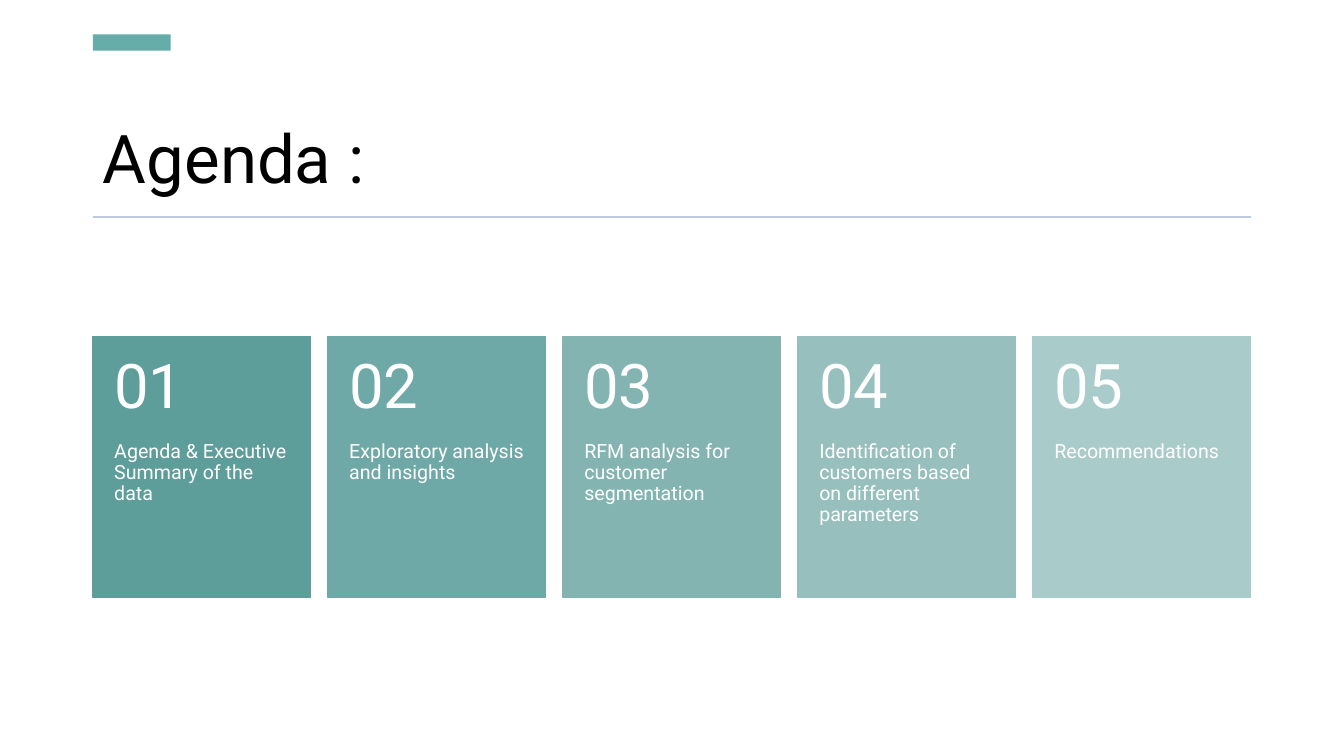
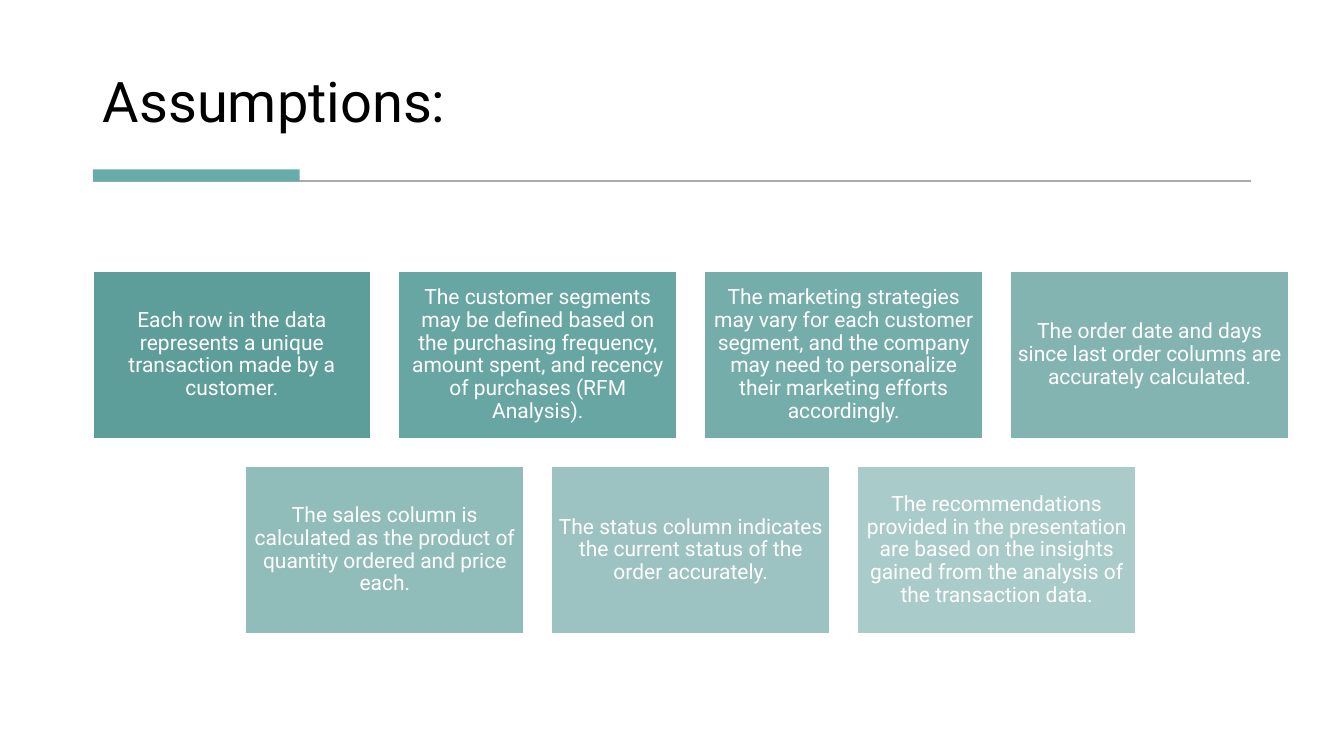
from lxml import etree
from pptx import Presentation
from pptx.dml.color import RGBColor
from pptx.enum import shapes, text
from pptx.oxml import ns
from pptx.util import Cm, Pt

FONT = "Roboto"
BLACK = RGBColor(0x00, 0x00, 0x00)
WHITE = RGBColor(0xFF, 0xFF, 0xFF)
TEAL = RGBColor(0x66, 0xAD, 0xAA)
BLUE_GREY = RGBColor(0xBD, 0xCA, 0xDB)
GREY = RGBColor(0xAA, 0xAA, 0xAA)

TEAL_1 = RGBColor(0x5D, 0x9D, 0x9A)
TEAL_4 = RGBColor(0x83, 0xB4, 0xB2)
TEAL_7 = RGBColor(0xA9, 0xCB, 0xC9)
AGENDA_COLOURS = [TEAL_1, RGBColor(0x6F, 0xA9, 0xA7), TEAL_4,
                  RGBColor(0x96, 0xBF, 0xBD), TEAL_7]
ASSUMPTION_COLOURS = [TEAL_1, RGBColor(0x68, 0xA6, 0xA3),
                      RGBColor(0x75, 0xAD, 0xAA), TEAL_4,
                      RGBColor(0x90, 0xBC, 0xBA),
                      RGBColor(0x9C, 0xC3, 0xC1), TEAL_7]

LEFT = 2.34
CONTENT_WIDTH = 29.18

AGENDA = [
    "Agenda & Executive Summary of the data",
    "Exploratory analysis and insights",
    "RFM analysis for customer segmentation",
    "Identification of customers based on different parameters",
    "Recommendations",
]
ASSUMPTIONS = [
    "Each row in the data represents a unique transaction made by a customer.",
    "The customer segments may be defined based on the purchasing frequency, "
    "amount spent, and recency of purchases (RFM Analysis).",
    "The marketing strategies may vary for each customer segment, and the "
    "company may need to personalize their marketing efforts accordingly.",
    "The order date and days since last order columns are accurately calculated.",
    "The sales column is calculated as the product of quantity ordered and "
    "price each.",
    "The status column indicates the current status of the order accurately.",
    "The recommendations provided in the presentation are based on the "
    "insights gained from the analysis of the transaction data.",
]


def write(shape, content, size, colour=WHITE, align=text.PP_ALIGN.LEFT,
          anchor=text.MSO_ANCHOR.TOP, insets=None):
    """Fill a shape with one paragraph; insets are left, top, right, bottom in cm."""
    frame = shape.text_frame
    frame.word_wrap = True
    frame.auto_size = text.MSO_AUTO_SIZE.NONE
    frame.vertical_anchor = anchor
    if insets:
        (frame.margin_left, frame.margin_top,
         frame.margin_right, frame.margin_bottom) = map(Cm, insets)
    paragraph = frame.paragraphs[0]
    paragraph.alignment = align
    paragraph.line_spacing = 0.9
    run = paragraph.add_run()
    run.text = content
    run.font.name = FONT
    run.font.size = Pt(size)
    run.font.color.rgb = colour


class Deck:
    """Holds the presentation, its style and the slide being built."""

    def __init__(self):
        self.presentation = Presentation()
        self.presentation.slide_width = Cm(33.87)
        self.presentation.slide_height = Cm(19.05)
        self.slide = None

    def add_slide(self, title, top, height, size):
        layout = self.presentation.slide_layouts.get_by_name("Title Only")
        self.slide = self.presentation.slides.add_slide(layout)
        shape = self.slide.shapes.title
        shape.left, shape.top = Cm(LEFT), Cm(top)
        shape.width, shape.height = Cm(CONTENT_WIDTH), Cm(height)
        write(shape, title, size, BLACK, anchor=text.MSO_ANCHOR.BOTTOM)

    def rectangle(self, left, top, width, height, fill, line=None):
        shape = self.slide.shapes.add_shape(
            shapes.MSO_SHAPE.RECTANGLE, Cm(left), Cm(top), Cm(width), Cm(height))
        shape.shadow.inherit = False
        shape.fill.solid()
        shape.fill.fore_color.rgb = fill
        if line is None:
            shape.line.fill.background()
        else:
            shape.line.color.rgb = line
            shape.line.width = Pt(1)
        return shape

    def text_box(self, left, top, width, height, content, size, **style):
        box = self.slide.shapes.add_textbox(
            Cm(left), Cm(top), Cm(width), Cm(height))
        write(box, content, size, **style)

    def rule(self, top, colour):
        line = self.slide.shapes.add_connector(
            shapes.MSO_CONNECTOR.STRAIGHT,
            Cm(LEFT), Cm(top), Cm(LEFT + CONTENT_WIDTH), Cm(top))
        line.line.color.rgb = colour
        line.line.width = Pt(1.5)
        etree.SubElement(line._element.spPr, ns.qn("a:effectLst"))


def build_agenda(deck):
    deck.add_slide("Agenda :", top=1.9, height=3.23, size=48)
    deck.rectangle(LEFT, 0.87, 1.96, 0.41, TEAL)
    deck.rule(5.46, BLUE_GREY)

    top, width, height, number_height = 8.48, 5.49, 6.58, 2.64
    pitch = (CONTENT_WIDTH - width) / (len(AGENDA) - 1)
    for index, (topic, colour) in enumerate(zip(AGENDA, AGENDA_COLOURS)):
        left = LEFT + index * pitch
        deck.rectangle(left, top, width, height, colour, line=colour)
        deck.text_box(left, top, width, number_height, f"{index + 1:02}", 44,
                      anchor=text.MSO_ANCHOR.MIDDLE,
                      insets=(0.54, 0.46, 0.54, 0.46))
        deck.text_box(left, top + number_height, width, height - number_height,
                      topic, 14, insets=(0.54, 0, 0.54, 0.91))


def build_assumptions(deck):
    deck.add_slide("Assumptions:", top=0.71, height=2.82, size=40)
    deck.rule(4.56, GREY)
    deck.rectangle(LEFT, 4.27, 5.21, 0.3, TEAL)

    top, width, height, gap, columns = 6.83, 7.01, 4.22, 0.7, 4
    pitch = width + gap
    for index, (assumption, colour) in enumerate(
            zip(ASSUMPTIONS, ASSUMPTION_COLOURS)):
        row, column = divmod(index, columns)
        in_row = min(columns, len(ASSUMPTIONS) - row * columns)
        left = LEFT + (column + (columns - in_row) / 2) * pitch
        card = deck.rectangle(left, top + row * (height + gap), width, height,
                              colour, line=WHITE)
        write(card, assumption, 15, align=text.PP_ALIGN.CENTER,
              anchor=text.MSO_ANCHOR.MIDDLE, insets=(0.15,) * 4)


def main():
    deck = Deck()
    build_agenda(deck)
    build_assumptions(deck)
    deck.presentation.save("out.pptx")


if __name__ == "__main__":
    main()
